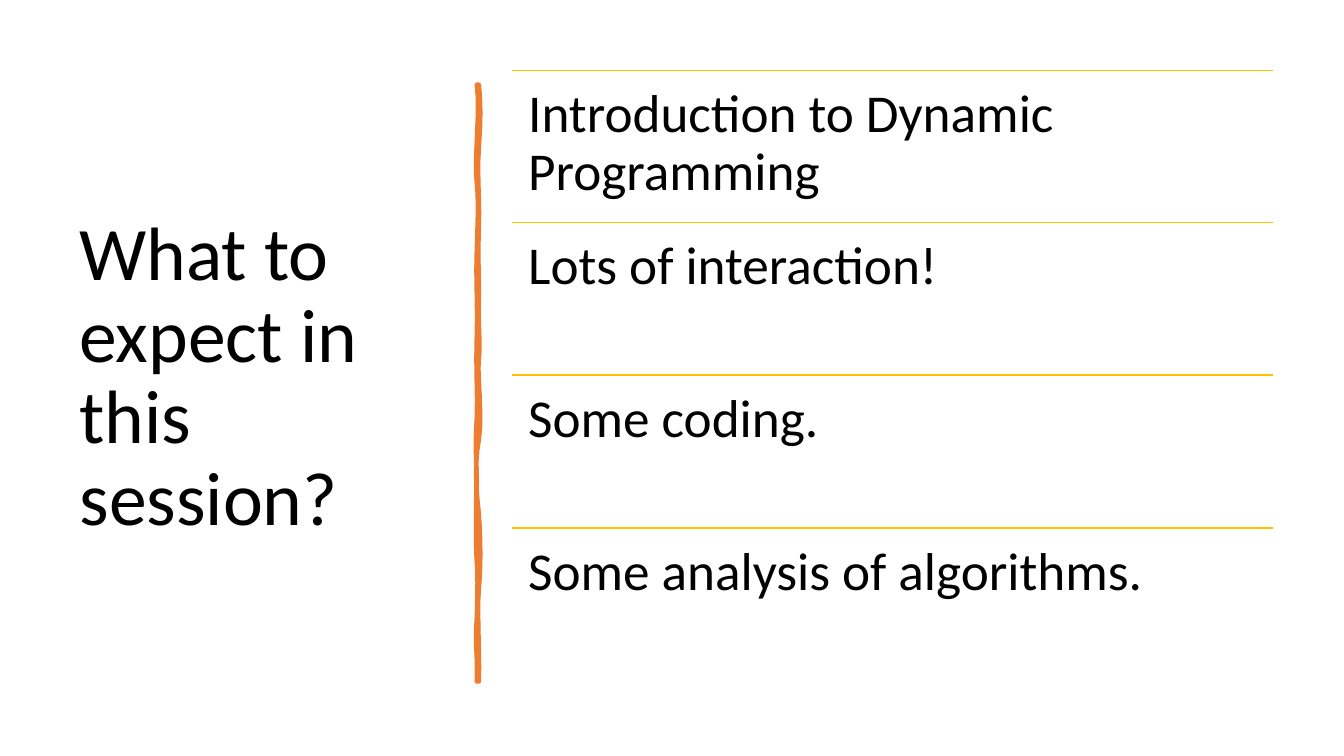
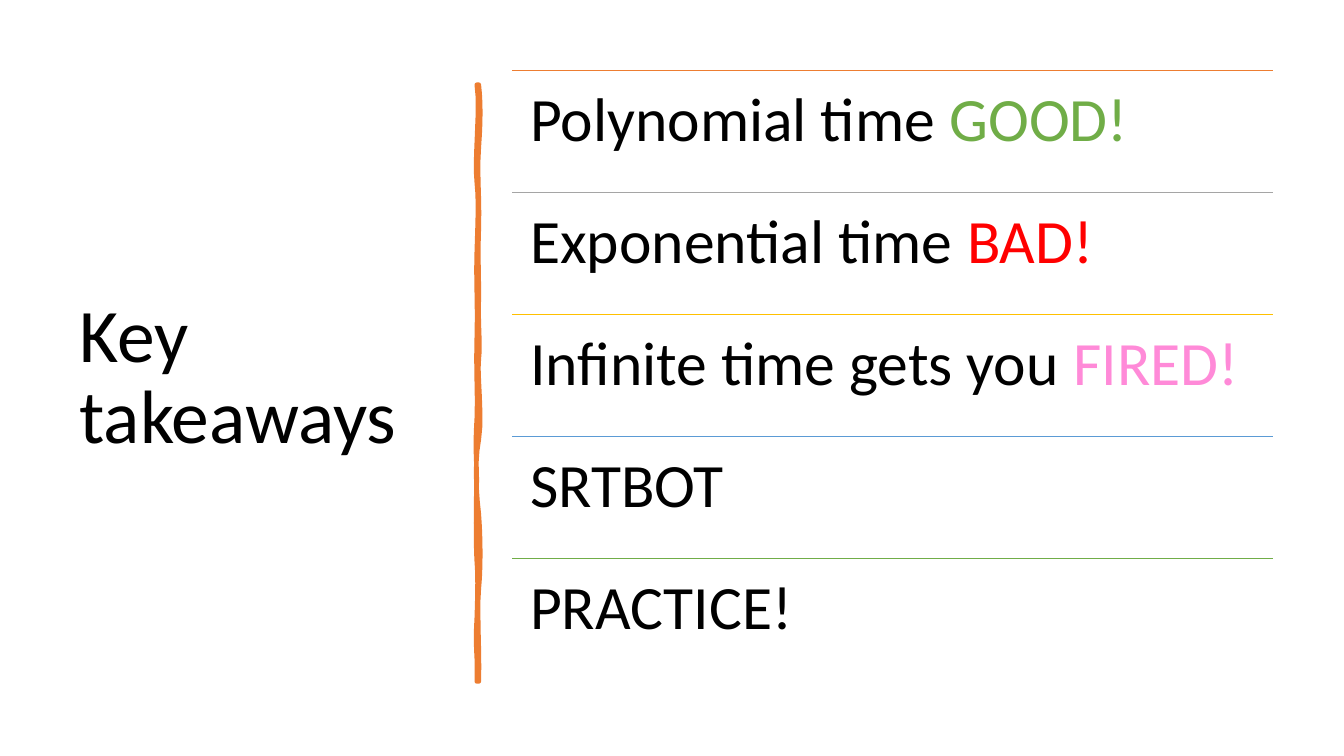
import pptx
import pptx.dml.color
import pptx.enum.shapes
import pptx.enum.text
import pptx.oxml.ns
import pptx.util
from lxml import etree

PX = 9144  # EMU; 100 px make one inch
RGB = pptx.dml.color.RGBColor
BLACK = RGB(0x00, 0x00, 0x00)
ORANGE = RGB(0xED, 0x7D, 0x31)
GRAY = RGB(0xA5, 0xA5, 0xA5)
GOLD = RGB(0xFF, 0xC0, 0x00)
BLUE = RGB(0x5B, 0x9B, 0xD5)
GREEN = RGB(0x70, 0xAD, 0x47)
RED = RGB(0xFF, 0x00, 0x00)
PINK = RGB(0xFF, 0x8A, 0xD8)

LIST_LEFT, LIST_TOP, LIST_WIDTH, LIST_HEIGHT = 508, 70, 755, 605

BRUSH_START = (475, 84)
# Each curve: two control points and an end point, down the right side and up the left.
BRUSH_CURVES = [
    ((477, 102), (477, 119), (475, 146)),
    ((473, 173), (476, 195), (475, 226)),
    ((474, 257), (475, 262), (475, 294)),
    ((474, 325), (477, 342), (475, 356)),
    ((473, 370), (479, 414), (475, 436)),
    ((471, 457), (472, 484), (475, 510)),
    ((477, 536), (477, 564), (475, 584)),
    ((473, 603), (476, 650), (475, 676)),
    ((474, 676), (473, 676), (473, 676)),
    ((474, 646), (471, 644), (473, 613)),
    ((474, 583), (474, 570), (473, 557)),
    ((472, 544), (472, 495), (473, 477)),
    ((473, 459), (471, 445), (473, 415)),
    ((474, 386), (472, 373), (473, 335)),
    ((474, 298), (472, 281), (473, 250)),
    ((474, 218), (475, 200), (473, 181)),
    ((470, 163), (477, 104), (473, 84)),
]


def curve_points(start, curves, steps=6):
    """Return points along a chain of cubic Bézier curves, in EMU."""
    points = []
    for first, second, end in curves:
        for step in range(1, steps + 1):
            t = step / steps
            weights = ((1 - t) ** 3, 3 * t * (1 - t) ** 2, 3 * t * t * (1 - t), t ** 3)
            corners = (start, first, second, end)
            points.append(tuple(
                round(PX * sum(w * corner[axis] for w, corner in zip(weights, corners)))
                for axis in (0, 1)))
        start = end
    return points


def write_text(box, spans, size, color=BLACK, font="Calibri", spacing=0.9):
    """Fill a box with one paragraph; a span is a string or a (string, colour) pair."""
    para = box.text_frame.paragraphs[0]
    para.line_spacing = spacing
    for span in spans:
        words, span_color = (span, color) if isinstance(span, str) else span
        run = para.add_run()
        run.text = words
        run.font.name = font
        run.font.size = pptx.util.Pt(size)
        run.font.color.rgb = span_color


class Deck:
    def __init__(self):
        self.file = pptx.Presentation()
        self.file.slide_width = pptx.util.Inches(13.333)
        self.file.slide_height = pptx.util.Inches(7.5)
        self.page = None

    def add_page(self, title):
        self.page = self.file.slides.add_slide(self.file.slide_layouts[6])
        box = self.text_box(69, 70, 374, 611, inset=(10, 5))
        box.text_frame.vertical_anchor = pptx.enum.text.MSO_ANCHOR.MIDDLE
        write_text(box, [title], size=54)
        self.brush_stroke()

    def text_box(self, left, top, width, height, inset):
        box = self.page.shapes.add_textbox(left * PX, top * PX, width * PX, height * PX)
        frame = box.text_frame
        frame.word_wrap = True
        frame.margin_left = frame.margin_right = inset[0] * PX
        frame.margin_top = frame.margin_bottom = inset[1] * PX
        return box

    def brush_stroke(self):
        x, y = BRUSH_START
        builder = self.page.shapes.build_freeform(x * PX, y * PX, scale=1.0)
        builder.add_line_segments(curve_points(BRUSH_START, BRUSH_CURVES), close=True)
        stroke = builder.convert_to_shape()
        stroke.shadow.inherit = False
        stroke.fill.solid()
        stroke.fill.fore_color.rgb = ORANGE
        stroke.line.color.rgb = ORANGE
        stroke.line.width = pptx.util.Pt(3.25)
        outline = stroke._element.spPr.find(pptx.oxml.ns.qn("a:ln"))
        etree.SubElement(outline, pptx.oxml.ns.qn("a:round"))

    def rule(self, top, color):
        line = self.page.shapes.add_connector(
            pptx.enum.shapes.MSO_CONNECTOR.STRAIGHT,
            LIST_LEFT * PX, top * PX, (LIST_LEFT + LIST_WIDTH) * PX, top * PX)
        line.line.color.rgb = color
        line.line.width = pptx.util.Pt(1)
        etree.SubElement(line._element.spPr, pptx.oxml.ns.qn("a:effectLst"))

    def ruled_list(self, rows, size, inset):
        """Stack rows of (rule colour, spans) evenly down the list area."""
        pitch = LIST_HEIGHT / len(rows)
        for index, (color, spans) in enumerate(rows):
            top = round(LIST_TOP + index * pitch)
            self.rule(top, color)
            box = self.text_box(LIST_LEFT, top, LIST_WIDTH, round(pitch), (inset, inset))
            write_text(box, spans, size=size)


def main():
    deck = Deck()

    deck.add_page("What to expect in this session?")
    topics = ["Introduction to Dynamic Programming", "Lots of interaction!",
              "Some coding.", "Some analysis of algorithms."]
    deck.ruled_list([(GOLD, [topic]) for topic in topics], size=38, inset=16)

    deck.add_page("Key takeaways")
    deck.ruled_list([
        (ORANGE, ["Polynomial time ", ("GOOD!", GREEN)]),
        (GRAY, ["Exponential time ", ("BAD!", RED)]),
        (GOLD, ["Infinite time gets you ", ("FIRED!", PINK)]),
        (BLUE, ["SRTBOT"]),
        (GREEN, ["PRACTICE!"]),
    ], size=44, inset=18)

    deck.file.save("out.pptx")


if __name__ == "__main__":
    main()
